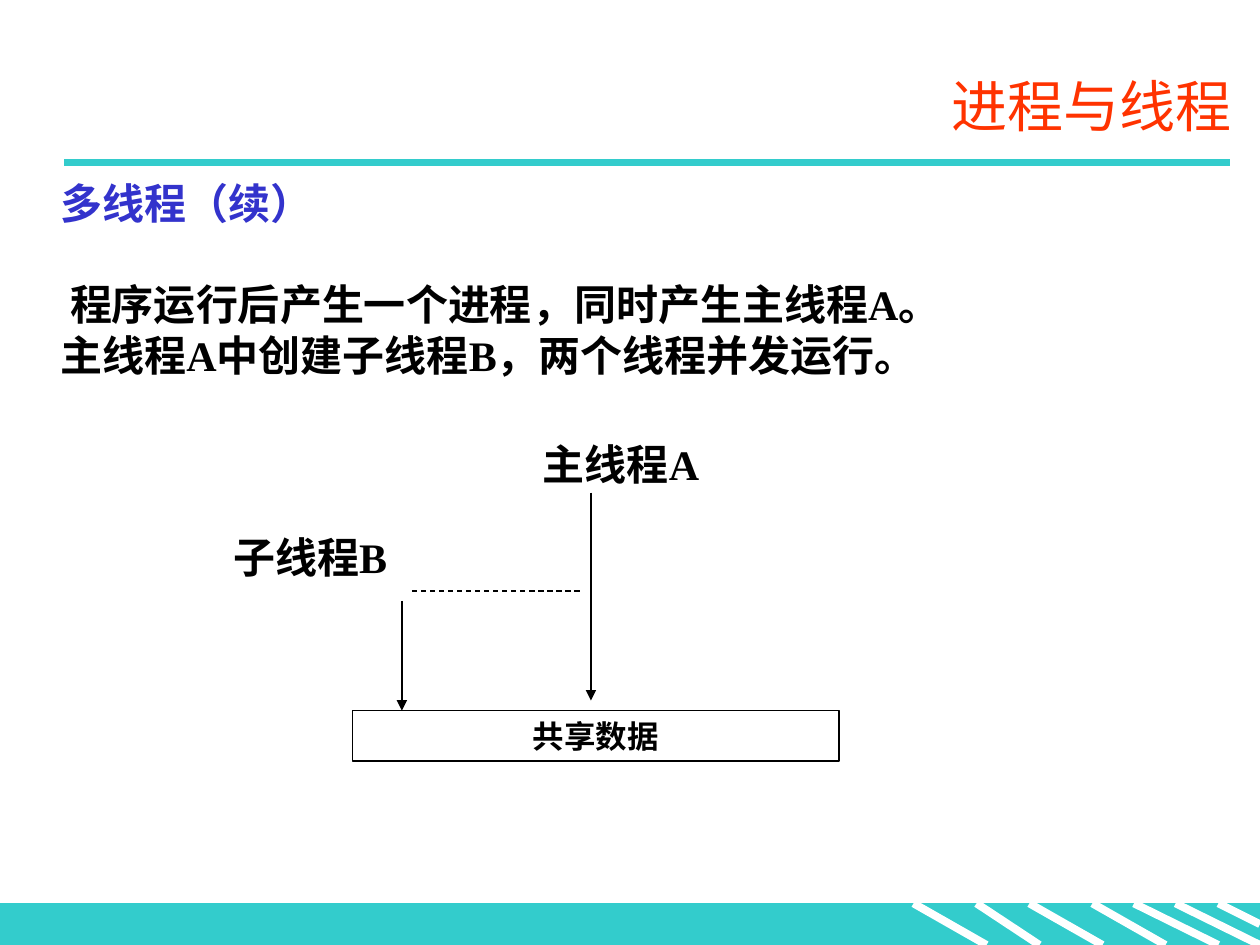
from pptx import Presentation
from pptx.dml.color import RGBColor
from pptx.enum import dml, shapes, text
from pptx.oxml.ns import qn
from pptx.util import Inches, Pt
from lxml import etree

HUE = {"teal": "33CCCC", "white": "FFFFFF", "black": "000000",
       "blue": "3333CC", "red": "FF3300"}
SERIF = "Times New Roman"


def rgb(name):
    return RGBColor.from_string(HUE[name])


def place(item, box):
    item.left, item.top, item.width, item.height = map(Inches, box)


def add_run(para, words, size, hue="black", face=SERIF, bold=True):
    run = para.add_run()
    run.text = words
    font = run.font
    font.size, font.name, font.bold = Pt(size), face, bold
    font.color.rgb = rgb(hue)


def add_line(slide, start, end, hue="black", width=0.75, arrow=False, dash=False):
    line = slide.shapes.add_connector(
        shapes.MSO_CONNECTOR.STRAIGHT, *map(Inches, (*start, *end)))
    line.line.color.rgb = rgb(hue)
    line.line.width = Pt(width)
    if dash:
        line.line.dash_style = dml.MSO_LINE.DASH
    if arrow:
        tail = etree.SubElement(line.line._get_or_add_ln(), qn("a:tailEnd"))
        tail.set("type", "triangle")
    etree.SubElement(line._element.spPr, qn("a:effectLst"))


def add_rect(slide, box, fill, edge):
    rect = slide.shapes.add_shape(
        shapes.MSO_SHAPE.RECTANGLE, *map(Inches, box))
    rect.shadow.inherit = False
    rect.fill.solid()
    rect.fill.fore_color.rgb = rgb(fill)
    rect.line.color.rgb = rgb(edge)
    rect.line.width = Pt(0.75)
    return rect


def add_label(slide, box, words, inset):
    label = slide.shapes.add_textbox(*map(Inches, box))
    frame = label.text_frame
    frame.word_wrap = True
    frame.margin_left = frame.margin_right = Inches(inset)
    frame.margin_top = frame.margin_bottom = Inches(inset / 2)
    add_run(frame.paragraphs[0], words, 24)


def add_footer(slide, box):
    left, top, width, height = box
    add_rect(slide, box, "teal", "teal")
    # White stripes: start, run across, share of the band height
    stripes = [(7.25, 0.58, 1), (7.75, 0.5, 1), (8.17, 0.58, 1), (8.67, 0.58, 1),
               (9, 0.67, 1), (9.33, 0.67, 1), (9.67, 0.33, 0.5)]
    for x, across, share in stripes:
        add_line(slide, (left + x, top),
                 (left + x + across, top + height * share), "white", 4.5)


def add_title(slide, box):
    title = slide.shapes.title
    place(title, box)
    frame = title.text_frame
    frame.auto_size = text.MSO_AUTO_SIZE.NONE
    frame.vertical_anchor = text.MSO_ANCHOR.MIDDLE
    para = frame.paragraphs[0]
    para.alignment = text.PP_ALIGN.RIGHT
    add_run(para, "进程与线程", 32, "red", "Arial", False)


def add_body(slide, box):
    body = slide.placeholders[1]
    place(body, box)
    frame = body.text_frame
    frame.auto_size = text.MSO_AUTO_SIZE.NONE
    # Words, colour, face, space before
    rows = [("多线程（续）", "blue", "Arial", 0),
            (" 程序运行后产生一个进程，同时产生主线程A。", "black", SERIF, 29),
            ("主线程A中创建子线程B，两个线程并发运行。", "black", SERIF, 0)]
    for i, (words, hue, face, gap) in enumerate(rows):
        para = frame.add_paragraph() if i else frame.paragraphs[0]
        para.space_before = Pt(gap)
        props = para._p.get_or_add_pPr()
        props.set("marL", "0")
        props.set("indent", "0")
        etree.SubElement(props, qn("a:buNone"))
        add_run(para, words, 24, hue, face)


def add_threads(slide, box):
    left, top, width, height = box
    base = top + height
    # Shared data
    data = add_rect(slide, (left + 0.95, base - 0.4, 3.86, 0.4), "white", "black")
    frame = data.text_frame
    frame.vertical_anchor = text.MSO_ANCHOR.MIDDLE
    para = frame.paragraphs[0]
    para.alignment = text.PP_ALIGN.CENTER
    add_run(para, "共享数据", 18)
    # Main thread
    main_x = left + 2.84
    add_label(slide, (left + 2.36, top, 2.99, 0.5), "主线程A", 0.1)
    add_line(slide, (main_x, top + 0.48), (main_x, base - 0.48), arrow=True)
    # Child thread
    child_x, fork = left + 1.34, top + 1.26
    add_label(slide, (left, top + 0.79, 1.97, 0.4), "子线程B", 0)
    add_line(slide, (child_x, fork + 0.08), (child_x, base - 0.4), arrow=True)
    add_line(slide, (child_x + 0.08, fork), (main_x - 0.08, fork), dash=True)


def main():
    deck = Presentation()
    deck.slide_width, deck.slide_height = Inches(10), Inches(7.5)
    slide = deck.slides.add_slide(deck.slide_layouts[1])
    add_footer(slide, (0, 7.17, 10, 0.33))
    add_line(slide, (0.51, 1.29), (9.76, 1.29), "teal", 4.5)
    add_title(slide, (4.02, 0.44, 5.86, 0.79))
    add_body(slide, (0.38, 1.36, 9.53, 1.72))
    add_threads(slide, (1.85, 3.43, 5.35, 2.61))
    deck.save("out.pptx")


if __name__ == "__main__":
    main()
